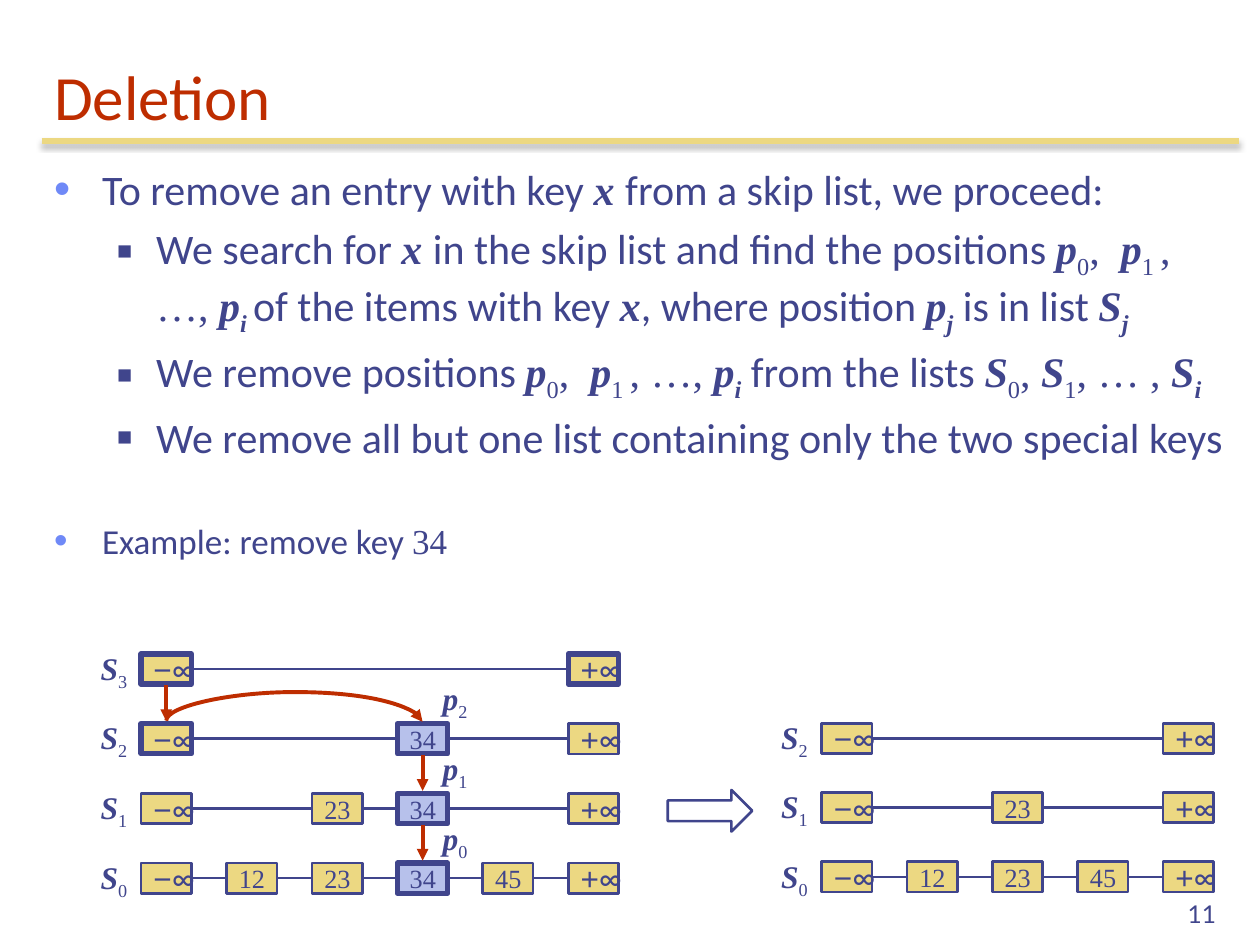
from dataclasses import dataclass

from lxml import etree
from pptx import Presentation
from pptx.dml.color import RGBColor
from pptx.enum.shapes import MSO_CONNECTOR, MSO_SHAPE
from pptx.enum.text import MSO_ANCHOR, MSO_AUTO_SIZE, PP_ALIGN
from pptx.oxml.ns import qn
from pptx.util import Inches, Pt

STRAIGHT, CURVE = MSO_CONNECTOR.STRAIGHT, MSO_CONNECTOR.CURVE
RECTANGLE, RIGHT_ARROW = MSO_SHAPE.RECTANGLE, MSO_SHAPE.RIGHT_ARROW
MIDDLE, BOTTOM = MSO_ANCHOR.MIDDLE, MSO_ANCHOR.BOTTOM
LEFT, RIGHT = PP_ALIGN.LEFT, PP_ALIGN.RIGHT
NO_FIT = MSO_AUTO_SIZE.NONE


@dataclass(frozen=True)
class Theme:
    ink: str = "40458C"
    accent: str = "BE2D00"
    gold: str = "ECD882"
    found: str = "B7C1EB"
    bullet: str = "6F89F7"
    sans: str = "Calibri"
    serif: str = "Times New Roman"
    symbol: str = "Arial"
    number: str = "Lato"
    title: int = 36
    body: int = 24
    example: int = 20
    label: int = 18
    key: int = 15
    page: int = 14
    thin: float = 1.5
    arrow: float = 2.25
    thick: float = 3


THEME = Theme()
CELL_WIDTH, CELL_HEIGHT = 0.4, 0.24
FOUND_KEY = "34"
LOW, HIGH = "−∞", "+∞"
BEFORE = [
    ("S3", {0: LOW, 5: HIGH}),
    ("S2", {0: LOW, 3: "34", 5: HIGH}),
    ("S1", {0: LOW, 2: "23", 3: "34", 5: HIGH}),
    ("S0", {0: LOW, 1: "12", 2: "23", 3: "34", 4: "45", 5: HIGH}),
]
AFTER = [
    ("S2", {0: LOW, 4: HIGH}),
    ("S1", {0: LOW, 2: "23", 4: HIGH}),
    ("S0", {0: LOW, 1: "12", 2: "23", 3: "45", 4: HIGH}),
]
VISITED = {(0, 0), (0, 5), (1, 0)}

P0_TO_PI = [("p", "var"), ("0", "sub"), (",  ", "math"), ("p", "var"), ("1 ", "sub"),
            (", …, ", "math"), ("p", "var")]
STEPS = [
    (0, [("To remove an entry with key ", "text"), ("x ", "var"),
         ("from a skip list, we proceed:", "text")]),
    (1, [("We search for ", "text"), ("x ", "var"),
         ("in the skip list and find the positions ", "text"), *P0_TO_PI, ("i ", "varsub"),
         ("of the items with key ", "text"), ("x", "var"), (", where position ", "text"),
         ("p", "var"), ("j", "varsub"), (" is in list ", "text"), ("S", "var"),
         ("j", "varsub")]),
    (1, [("We remove positions ", "text"), *P0_TO_PI, ("i", "varsub"),
         (" from the lists ", "text"), ("S", "var"), ("0", "sub"), (", ", "math"),
         ("S", "var"), ("1", "sub"), (", … , ", "math"), ("S", "var"), ("i", "varsub")]),
    (1, [("We remove all but one list containing only the two special keys", "text")]),
    (0, [("Example: remove key ", "text"), (FOUND_KEY, "math")]),
]
BULLETS = [("•", THEME.bullet, 110, 0.38, 0.38), ("■", THEME.ink, 60, 0.81, 0.31)]


def rgb(value):
    return RGBColor.from_string(value)


def place(shape, left, top, width, height):
    shape.left, shape.top = Inches(left), Inches(top)
    shape.width, shape.height = Inches(width), Inches(height)


def set_font(font, name, size, color=THEME.ink):
    font.name, font.size = name, Pt(size)
    font.color.rgb = rgb(color)


def add_runs(paragraph, parts):
    for text, style in parts:
        run = paragraph.add_run()
        run.text = text
        if style != "text":
            run.font.name = THEME.serif
        if style.startswith("var"):
            run.font.bold = run.font.italic = True
        if style.endswith("sub"):
            run._r.get_or_add_rPr().set("baseline", "-25000")


def add_line(slide, start, end, color=THEME.ink, weight=THEME.thin, arrow=False, kind=STRAIGHT):
    line = slide.shapes.add_connector(kind, *map(Inches, (*start, *end)))
    line.line.color.rgb = rgb(color)
    line.line.width = Pt(weight)
    if arrow:
        etree.SubElement(line.line._get_or_add_ln(), qn("a:tailEnd"), type="triangle")
    etree.SubElement(line._element.spPr, qn("a:effectLst"))
    return line


def add_label(slide, left, top, name):
    frame = slide.shapes.add_textbox(*map(Inches, (left, top, 0.42, 0.4))).text_frame
    frame.word_wrap = False
    label = frame.paragraphs[0]
    set_font(label.font, THEME.serif, THEME.label)
    add_runs(label, [(name[0], "var"), (name[1], "sub")])


def add_cell(slide, left, top, key, heavy):
    cell = slide.shapes.add_shape(
        RECTANGLE, *map(Inches, (left, top, CELL_WIDTH, CELL_HEIGHT)))
    cell.shadow.inherit = False
    cell.fill.solid()
    cell.fill.fore_color.rgb = rgb(THEME.found if key == FOUND_KEY else THEME.gold)
    cell.line.color.rgb = rgb(THEME.ink)
    cell.line.width = Pt(THEME.thick if heavy else THEME.thin)
    cell.text_frame.word_wrap = False
    cell.text_frame.vertical_anchor = MIDDLE
    entry = cell.text_frame.paragraphs[0]
    entry.alignment = LEFT
    if key in (LOW, HIGH):
        set_font(entry.font, THEME.symbol, THEME.label)
        for character, font_name in zip(key, (THEME.symbol, THEME.number)):
            run = entry.add_run()
            run.text, run.font.name = character, font_name
    else:
        set_font(entry.font, THEME.serif, THEME.key)
        entry.add_run().text = key


def add_heading(slide, left, top, width, height):
    rule = add_line(slide, (left, top + height + 0.01), (left + width, top + height + 0.01),
                    THEME.gold, THEME.thick)
    shadow = etree.SubElement(rule._element.spPr.find(qn("a:effectLst")), qn("a:outerShdw"),
                              blurRad=str(Pt(3.1)), dist=str(Pt(1.8)), dir="5400000",
                              rotWithShape="0")
    tint = etree.SubElement(shadow, qn("a:srgbClr"), val="000000")
    etree.SubElement(tint, qn("a:alpha"), val="35000")
    title = slide.shapes.title
    place(title, left, top, width, height)
    frame = title.text_frame
    frame.text = "Deletion"
    frame.auto_size, frame.vertical_anchor = NO_FIT, BOTTOM
    frame.paragraphs[0].alignment = LEFT
    set_font(frame.paragraphs[0].font, THEME.sans, THEME.title, THEME.accent)


def add_steps(slide, left, top, width, height):
    body = slide.placeholders[1]
    place(body, left, top, width, height)
    frame = body.text_frame
    frame.auto_size = NO_FIT
    for index, (level, parts) in enumerate(STEPS):
        step = frame.add_paragraph() if index else frame.paragraphs[0]
        step.level = level
        mark, color, percent, margin, hanging = BULLETS[level]
        props = step._p.get_or_add_pPr()
        props.set("marL", str(Inches(margin)))
        props.set("indent", str(-Inches(hanging)))
        tint = etree.SubElement(props, qn("a:buClr"))
        etree.SubElement(tint, qn("a:srgbClr"), val=color)
        etree.SubElement(props, qn("a:buSzPct"), val=str(percent * 1000))
        etree.SubElement(props, qn("a:buFont"), typeface=THEME.symbol)
        etree.SubElement(props, qn("a:buChar"), char=mark)
        is_example = index == len(STEPS) - 1
        step.space_before = Pt(33 if is_example else 4.8)
        set_font(step.font, THEME.sans, THEME.example if is_example else THEME.body)
        add_runs(step, parts)


def add_skip_list(slide, left, top, width, height, levels, visited=frozenset()):
    row_step = height / (len(levels) - 1)
    column_step = width / max(levels[-1][1])
    for row, (name, keys) in enumerate(levels):
        y = top + row * row_step
        add_label(slide, left - 0.42, y - 0.09, name)
        columns = sorted(keys)
        for near, far in zip(columns, columns[1:]):
            add_line(slide, (left + near * column_step + CELL_WIDTH, y + CELL_HEIGHT / 2),
                     (left + far * column_step, y + CELL_HEIGHT / 2))
        for column, key in keys.items():
            heavy = key == FOUND_KEY or (row, column) in visited
            add_cell(slide, left + column * column_step, y, key, heavy)


def add_search_path(slide, left, top, width, height):
    row_step, column = height / 3, left + width * 3 / 5
    start, found = left + CELL_WIDTH / 2, column + CELL_WIDTH / 2
    for row, x in enumerate((start, found, found)):
        y = top + row * row_step
        add_line(slide, (x, y + CELL_HEIGHT + 0.01), (x, y + row_step - 0.02),
                 THEME.accent, THEME.arrow, arrow=True)
        add_label(slide, column + 0.26, y + row_step - 0.4, f"p{2 - row}")
    span, landing = found - start, top + row_step - 0.02
    sliver, lift = 0.01, 0.23
    hop = add_line(slide, (0, 0), (1, 1), THEME.accent, THEME.arrow, arrow=True, kind=CURVE)
    place(hop, (start + found - sliver) / 2, landing - span / 2, sliver, span)
    turn = hop._element.spPr.find(qn("a:xfrm"))
    turn.set("rot", "5400000")
    turn.set("flipV", "1")
    guides = hop._element.spPr.find(qn("a:prstGeom")).find(qn("a:avLst"))
    etree.SubElement(guides, qn("a:gd"), name="adj1",
                     fmla=f"val {round(-lift / sliver * 100000)}")


def add_result_arrow(slide, left, top, width, height):
    arrow = slide.shapes.add_shape(RIGHT_ARROW, *map(Inches, (left, top, width, height)))
    arrow.shadow.inherit = False
    arrow.fill.background()
    arrow.line.color.rgb = rgb(THEME.ink)
    arrow.line.width = Pt(THEME.thin)


def add_page_number(slide, left, top, width, height):
    frame = slide.shapes.add_textbox(*map(Inches, (left, top, width, height))).text_frame
    frame.word_wrap, frame.vertical_anchor = True, BOTTOM
    frame.text = "11"
    frame.paragraphs[0].alignment = RIGHT
    set_font(frame.paragraphs[0].font, THEME.number, THEME.page)


def main():
    deck = Presentation()
    deck.slide_width, deck.slide_height = Inches(10), Inches(7.5)
    slide = deck.slides.add_slide(deck.slide_layouts[1])
    add_heading(slide, 0.33, 0.33, 9.5, 0.78)
    add_steps(slide, 0.33, 1.25, 9.5, 5.67)
    add_page_number(slide, 7.67, 6.92, 2.08, 0.5)
    add_skip_list(slide, 6.52, 5.74, 2.71, 1.1, AFTER)
    before_box = (1.12, 5.19, 3.39, 1.66)
    add_skip_list(slide, *before_box, BEFORE, VISITED)
    add_search_path(slide, *before_box)
    add_result_arrow(slide, 5.3, 6.27, 0.67, 0.33)
    deck.save("out.pptx")


if __name__ == "__main__":
    main()
